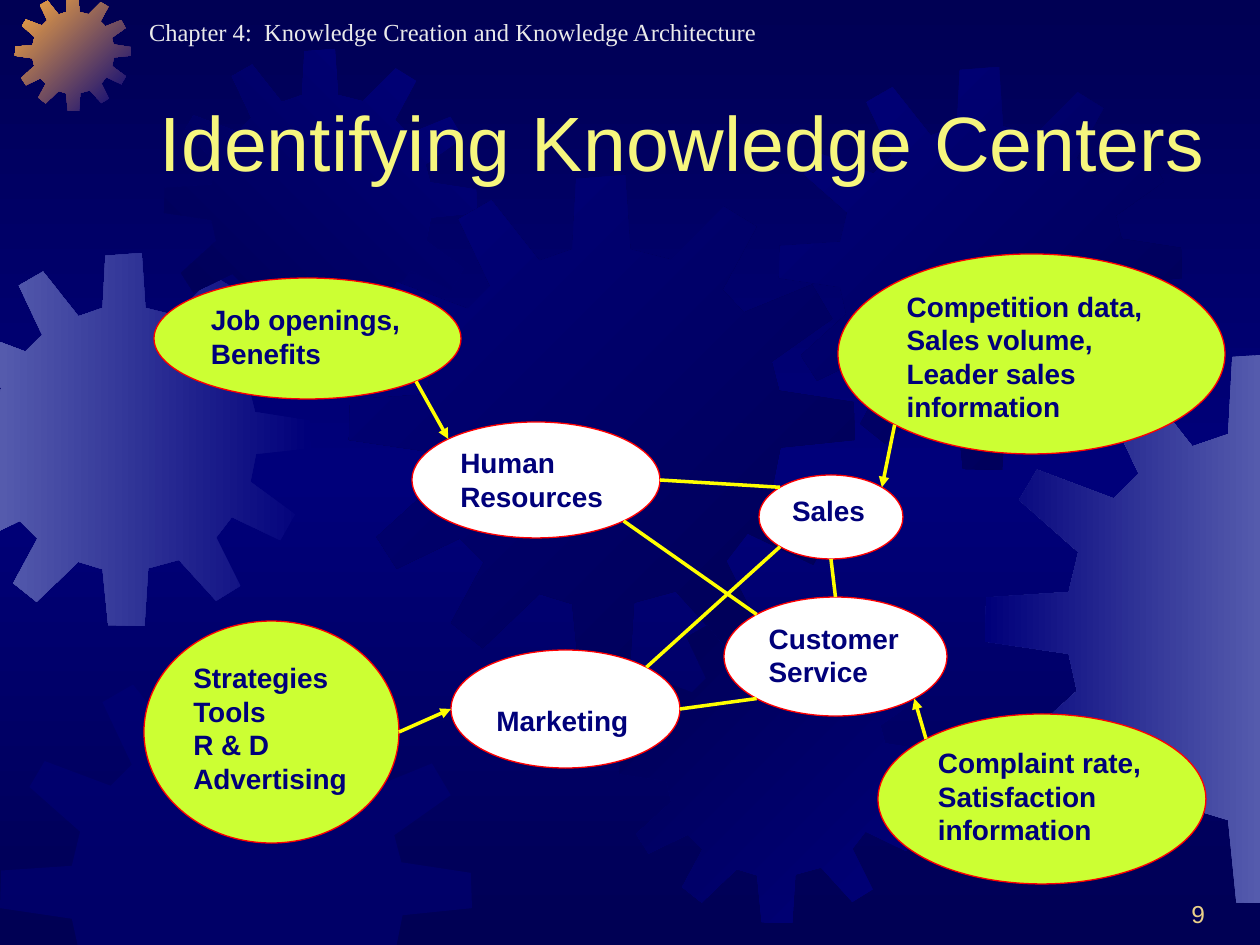
"""Build the slide on identifying knowledge centers."""
from copy import deepcopy
from math import cos, radians, sin

from lxml.etree import SubElement
from pptx import Presentation
from pptx.dml.color import RGBColor
from pptx.enum.shapes import MSO_CONNECTOR, MSO_SHAPE
from pptx.enum.text import MSO_ANCHOR, PP_ALIGN
from pptx.oxml.ns import qn
from pptx.util import Emu, Pt

SCALE = 914400 / 126
WIDTH, HEIGHT = 1260, 945

NIGHT = RGBColor(0x00, 0x00, 0x54)
NAVY = RGBColor(0x00, 0x00, 0x7A)
LAVENDER = RGBColor(0x55, 0x5B, 0xAD)
ORANGE = RGBColor(0xFC, 0xAB, 0x40)
PALE_YELLOW = RGBColor(0xF6, 0xF6, 0x7E)
SAND = RGBColor(0xEB, 0xD1, 0x89)
SILVER = RGBColor(0xEA, 0xEA, 0xEA)
WHITE = RGBColor(0xFF, 0xFF, 0xFF)
LIME = RGBColor(0xCC, 0xFF, 0x33)
RED = RGBColor(0xFF, 0x00, 0x00)
YELLOW = RGBColor(0xFF, 0xFF, 0x00)

GEAR_SIZE = 401
GEAR_OUTLINE = [
    (255, 67), (223, 59), (219, 0), (180, 3), (177, 59), (151, 68), (113, 20), (87, 35),
    (112, 88), (94, 106), (38, 85), (25, 107), (68, 145), (61, 174), (1, 178), (0, 210),
    (61, 219), (67, 246), (22, 287), (38, 312), (88, 288), (107, 307), (81, 355), (106, 375),
    (151, 332), (177, 340), (183, 400), (222, 401), (226, 339), (259, 330), (299, 374), (325, 358),
    (299, 306), (316, 284), (368, 309), (384, 281), (336, 246), (342, 216), (401, 210), (400, 180),
    (341, 171), (335, 148), (383, 114), (367, 87), (313, 109), (296, 91), (323, 41), (297, 25),
]
GEARS = [
    (-62, 253, 373, (NAVY, LAVENDER), 180),
    (15, -5, 116, (NAVY, ORANGE), 135),
    (164, 49, 313, (NAVY, NIGHT), 225),
    (349, 175, 506, (NIGHT, NAVY), 135),
    (0, 661, 472, (NAVY,), None),
    (619, 610, 313, (NAVY, NIGHT), 135),
    (779, 67, 403, (NIGHT, NAVY), 135),
    (985, 353, 551, (LAVENDER, NAVY), 180),
]
CENTERS = {
    "marketing": ("Marketing", 451, 650, 229, 118, WHITE, 36),
    "resources": ("Human\nResources", 412, 422, 248, 116, WHITE, 7),
    "service": ("Customer Service", 724, 597, 223, 119, WHITE, 7),
    "sales": ("Sales", 759, 475, 144, 84, WHITE, 6),
    "strategies": ("Strategies\nTools\nR & D\nAdvertising", 144, 621, 255, 222, LIME, 7),
    "complaints": ("Complaint rate, Satisfaction information", 878, 714, 328, 170, LIME, 7),
    "jobs": ("Job openings,\nBenefits", 154, 278, 307, 121, LIME, 7),
    "competition": ("Competition data, Sales volume, Leader sales information",
                    838, 254, 387, 200, LIME, 6),
}
ANGLES = {"right": 0, "lower right": 45, "bottom": 90, "lower left": 135,
          "left": 180, "upper left": 225, "top": 270, "upper right": 315}
LINKS = [
    ("resources", "right", "sales", "upper left", False),
    ("sales", "lower left", "marketing", "upper right", False),
    ("sales", "bottom", "service", "top", False),
    ("resources", "lower right", "service", "upper left", False),
    ("marketing", "right", "service", "lower left", False),
    ("strategies", "right", "marketing", "left", True),
    ("complaints", "upper left", "service", "lower right", True),
    ("jobs", "lower right", "resources", "upper left", True),
    ("competition", "lower left", "sales", "upper right", True),
]


def px(*lengths):
    return [Emu(round(length * SCALE)) for length in lengths]


def clip(points, axis, limit, side):
    kept = []
    for start, end in zip(points, points[1:] + points[:1]):
        before, after = side * (start[axis] - limit), side * (end[axis] - limit)
        if before >= 0:
            kept.append(start)
        if before * after < 0:
            share = before / (before - after)
            kept.append(tuple(a + share * (b - a) for a, b in zip(start, end)))
    return kept


def rim_point(center, side):
    left, top, width, height = CENTERS[center][1:5]
    angle = radians(ANGLES[side])
    return left + width / 2 * (1 + cos(angle)), top + height / 2 * (1 + sin(angle))


def write_text(frame, text, size, color, font="Arial", bold=False, align=PP_ALIGN.LEFT,
               anchor=MSO_ANCHOR.TOP, top=6):
    frame.text = text
    frame.word_wrap = True
    frame.vertical_anchor = anchor
    frame.margin_left, frame.margin_top, frame.margin_right, frame.margin_bottom = px(12, top, 12, 6)
    for para in frame.paragraphs:
        para.alignment = align
        for span in para.runs:
            span.font.size = Pt(size)
            span.font.name = font
            span.font.bold = bold
            span.font.color.rgb = color


def paint_gradient(fill, colors, angle):
    fill.gradient()
    fill.gradient_angle = angle
    for stop, color in zip(fill.gradient_stops, colors):
        stop.color.rgb = color


class SlideBuilder:
    def __init__(self, slide):
        self.slide = slide
        self.shapes = slide.shapes

    def background(self):
        fill = self.slide.background.fill
        paint_gradient(fill, (NIGHT, NAVY), 270)
        stops = next(self.slide.element.iter(qn("a:gsLst")))
        stops.append(deepcopy(stops[0]))
        for stop, position in zip(fill.gradient_stops, (0, 0.5, 1)):
            stop.position = position

    def gear(self, left, top, size, colors, angle):
        ratio = size / GEAR_SIZE
        points = [(left + x * ratio, top + y * ratio) for x, y in GEAR_OUTLINE]
        for axis, limit, side in ((0, 0, 1), (0, WIDTH, -1), (1, 0, 1), (1, HEIGHT, -1)):
            points = clip(points, axis, limit, side)
        points = [px(*point) for point in points]
        outline = self.shapes.build_freeform(*points[0])
        outline.add_line_segments(points[1:], close=True)
        shape = outline.convert_to_shape()
        shape.shadow.inherit = False
        shape.line.fill.background()
        if angle is None:
            shape.fill.solid()
            shape.fill.fore_color.rgb = colors[0]
            tint = next(shape.element.iter(qn("a:srgbClr")))
            SubElement(tint, qn("a:alpha"), val="50000")
        else:
            paint_gradient(shape.fill, colors, angle)

    def title(self, text, *place, **style):
        title = self.shapes.title
        self.shapes.element.append(title.element)
        title.left, title.top, title.width, title.height = px(*place)
        write_text(title.text_frame, text, **style)

    def label(self, text, *place, **style):
        write_text(self.shapes.add_textbox(*px(*place)).text_frame, text, **style)

    def ellipse(self, text, left, top, width, height, color, inset):
        shape = self.shapes.add_shape(MSO_SHAPE.OVAL, *px(left, top, width, height))
        shape.shadow.inherit = False
        shape.fill.solid()
        shape.fill.fore_color.rgb = color
        shape.line.color.rgb = RED
        shape.line.width = Pt(0.75)
        write_text(shape.text_frame, text, size=16, color=NAVY, bold=True, top=inset)

    def link(self, start, end, arrow):
        line = self.shapes.add_connector(MSO_CONNECTOR.STRAIGHT, *px(*start, *end))
        line.line.color.rgb = YELLOW
        line.line.width = Pt(2)
        if arrow:
            SubElement(next(line.element.iter(qn("a:ln"))), qn("a:tailEnd"), type="triangle")
        SubElement(line.element.spPr, qn("a:effectLst"))


def main():
    deck = Presentation()
    deck.slide_width, deck.slide_height = px(WIDTH, HEIGHT)
    page = SlideBuilder(deck.slides.add_slide(deck.slide_layouts[5]))
    page.background()
    for gear in GEARS:
        page.gear(*gear)
    page.label("Chapter 4:  Knowledge Creation and Knowledge Architecture", 137, 11, 777, 43,
               size=14, color=SILVER, font="Times New Roman")
    page.title("Identifying Knowledge Centers", 148, 35, 1090, 158,
               size=44, color=PALE_YELLOW, anchor=MSO_ANCHOR.BOTTOM)
    for center in CENTERS.values():
        page.ellipse(*center)
    for source, source_side, target, target_side, arrow in LINKS:
        page.link(rim_point(source, source_side), rim_point(target, target_side), arrow)
    page.label("9", 955, 871, 262, 63, size=14, color=SAND,
               align=PP_ALIGN.RIGHT, anchor=MSO_ANCHOR.BOTTOM)
    deck.save("out.pptx")


if __name__ == "__main__":
    main()
